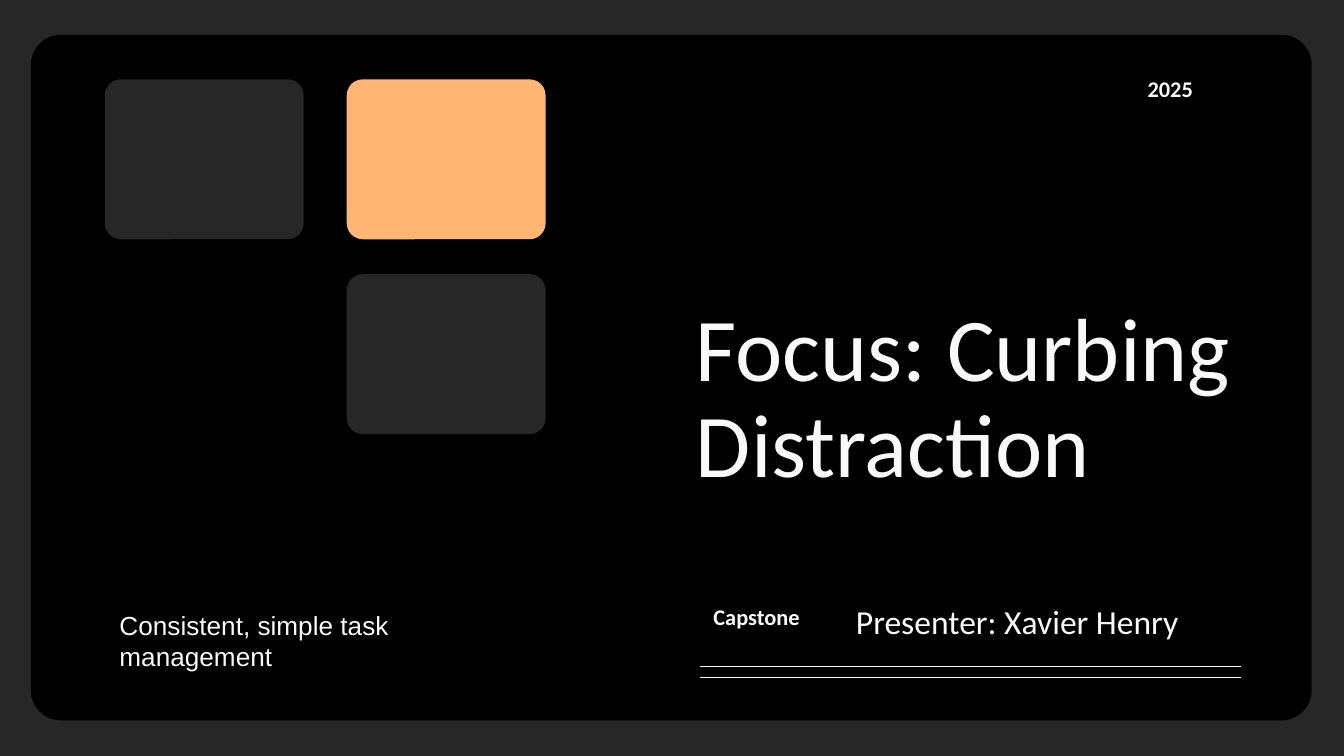
from lxml.etree import SubElement
from pptx import Presentation
from pptx.dml.color import RGBColor
from pptx.enum.shapes import MSO_CONNECTOR as Connector, MSO_SHAPE as Shape
from pptx.enum.text import MSO_ANCHOR as Anchor, MSO_AUTO_SIZE as AutoSize, PP_ALIGN as Align
from pptx.oxml.ns import qn
from pptx.util import Inches, Pt

BLACK = RGBColor(0x00, 0x00, 0x00)
CHARCOAL = RGBColor(0x27, 0x27, 0x27)
ORANGE = RGBColor(0xFF, 0xB6, 0x73)
OFF_WHITE = RGBColor(0xF9, 0xF9, 0xF9)

SLIDE_WIDTH = 10
SLIDE_HEIGHT = SLIDE_WIDTH * 9 / 16
GRID_LEFT, GRID_TOP = 0.78, 0.59
TILE_WIDTH, TILE_HEIGHT = 1.48, 1.19
COLUMN_STEP, ROW_STEP = 1.8, 1.45
RULE_LEFT, RULE_RIGHT, RULE_TOP, RULE_GAP = 5.21, 9.23, 4.96, 0.08


def add_panel(slide, left, top, width, height, color, rounding):
    """Add a borderless rounded rectangle."""
    panel = slide.shapes.add_shape(
        Shape.ROUNDED_RECTANGLE, *map(Inches, (left, top, width, height)))
    panel.adjustments[0] = rounding
    panel.shadow.inherit = False
    panel.fill.solid()
    panel.fill.fore_color.rgb = color
    panel.line.fill.background()


def add_tile(slide, column, row, color):
    """Add a tile at a column and row of the decorative grid."""
    add_panel(slide, GRID_LEFT + column * COLUMN_STEP, GRID_TOP + row * ROW_STEP,
              TILE_WIDTH, TILE_HEIGHT, color, 0.1)


def add_caption(slide, wording, box, size, name="Calibri", bold=False, spacing=1.0):
    """Add left-aligned text resting on the bottom of its box."""
    frame = slide.shapes.add_textbox(*map(Inches, box)).text_frame
    margins = {f"margin_{side}": Inches(0.1) for side in ("left", "top", "right", "bottom")}
    layout = {"word_wrap": True, "auto_size": AutoSize.NONE,
              "vertical_anchor": Anchor.BOTTOM, **margins}
    for attribute, value in layout.items():
        setattr(frame, attribute, value)
    paragraph = frame.paragraphs[0]
    paragraph.alignment = Align.LEFT
    paragraph.line_spacing = spacing
    run = paragraph.add_run()
    run.text = wording
    for attribute, value in {"name": name, "size": Pt(size), "bold": bold}.items():
        setattr(run.font, attribute, value)
    run.font.color.rgb = OFF_WHITE


def add_rule(slide, index):
    """Add one of the thin parallel rules under the presenter."""
    height = Inches(RULE_TOP + index * RULE_GAP)
    rule = slide.shapes.add_connector(
        Connector.STRAIGHT, Inches(RULE_RIGHT), height, Inches(RULE_LEFT), height)
    rule.line.color.rgb = OFF_WHITE
    rule.line.width = Pt(0.75)
    SubElement(rule._element.spPr, qn("a:effectLst"))


def main():
    """Build and save the title slide."""
    deck = Presentation()
    deck.slide_width, deck.slide_height = Inches(SLIDE_WIDTH), Inches(SLIDE_HEIGHT)
    slide = deck.slides.add_slide(deck.slide_layouts[6])
    slide.background.fill.solid()
    slide.background.fill.fore_color.rgb = CHARCOAL

    add_panel(slide, 0.23, 0.26, 9.53, 5.1, BLACK, 0.044)
    for column, row, color in ((1, 0, ORANGE), (0, 0, CHARCOAL), (1, 1, CHARCOAL)):
        add_tile(slide, column, row, color)

    add_caption(slide, "Focus: Curbing Distraction", (5.08, 1.83, 4.7, 1.97), 48, spacing=0.9)
    add_caption(slide, "Consistent, simple task management",
                (0.79, 4.47, 3.12, 0.63), 14, name="Arial")
    add_caption(slide, "2025", (8.44, GRID_TOP, 0.77, 0.27), 12, bold=True)
    add_caption(slide, "Capstone", (RULE_LEFT, 4.52, 1.9, 0.27), 12, bold=True)
    add_caption(slide, "Presenter: Xavier Henry", (6.27, 4.41, 2.95, 0.46), 18)
    for index in range(2):
        add_rule(slide, index)

    deck.save("out.pptx")


if __name__ == "__main__":
    main()
